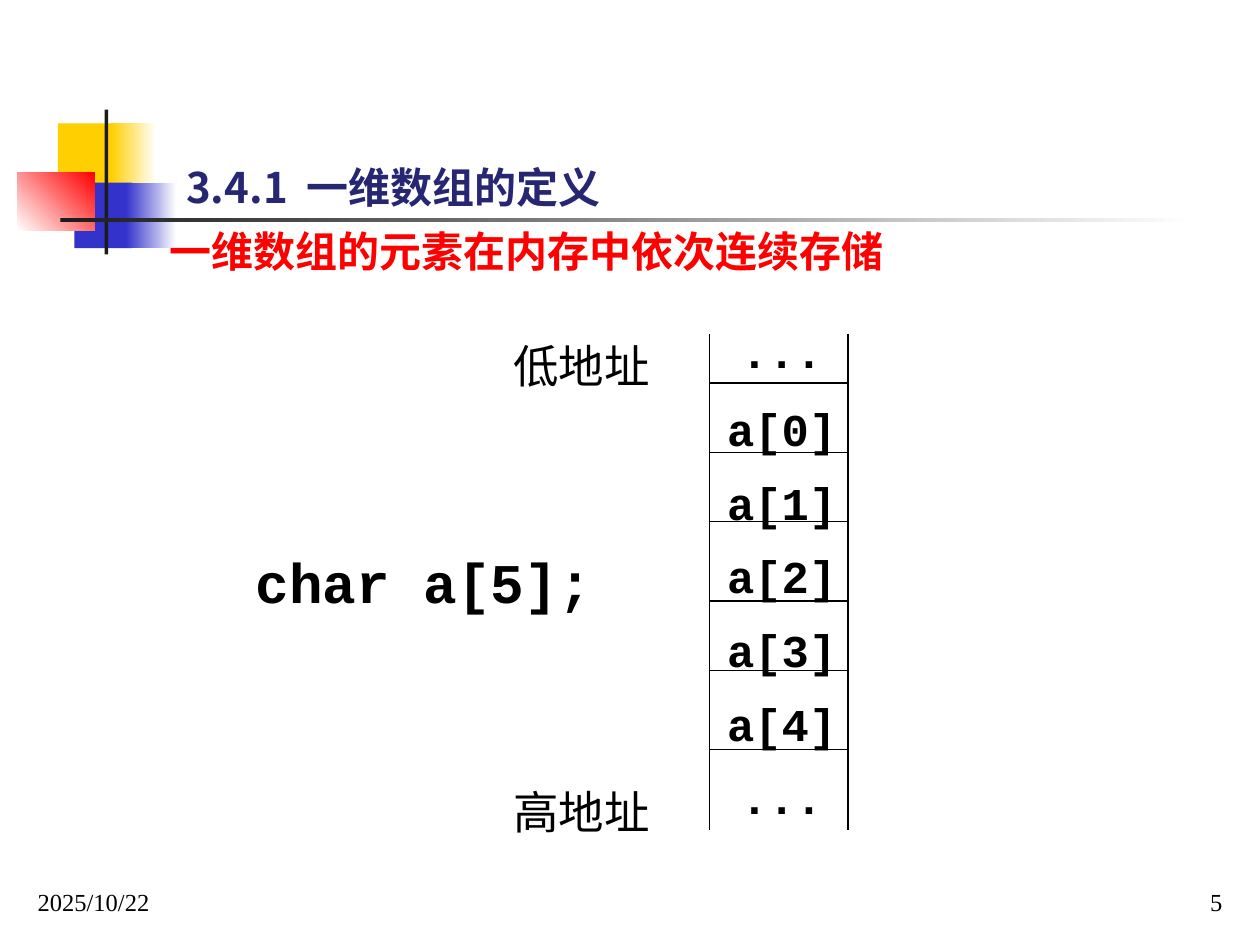
from dataclasses import dataclass, field
from typing import Optional

from lxml import etree
from pptx import Presentation
from pptx import util as u
from pptx.dml.color import RGBColor
from pptx.enum import shapes, text
from pptx.oxml.ns import qn

WHITE = RGBColor(0xFF, 0xFF, 0xFF)
BLACK = RGBColor(0, 0, 0)
YELLOW = RGBColor(0xFF, 0xCF, 0x01)
BLUE = RGBColor(0x33, 0x33, 0xCC)
RED = RGBColor(0xFF, 0, 0)
CHARCOAL = RGBColor(0x1C, 0x1C, 0x1C)
NAVY = RGBColor(0x26, 0x26, 0x73)

SANS, SERIF = "Noto Sans CJK SC", "Times New Roman"
MONO, LABEL = "Courier New", "Arial"
LEFT, CENTER, RIGHT = text.PP_ALIGN.LEFT, text.PP_ALIGN.CENTER, text.PP_ALIGN.RIGHT

SLIDE_WIDTH, SLIDE_HEIGHT = 10, 7.5
Box = tuple[float, float, float, float]


@dataclass
class Block:
    box: Box
    color: RGBColor
    fade_to: Optional[RGBColor] = None
    angle: float = 0


@dataclass
class Style:
    name: str
    size: float
    color: RGBColor = BLACK
    bold: bool = False


@dataclass
class Label:
    box: Box
    words: str
    style: Style
    align: text.PP_ALIGN = LEFT
    frame: dict = field(default_factory=dict)
    margin: float = 0
    indent: float = 0


ACCENTS = [
    Block((0.46, 0.98, 0.48, 0.52), YELLOW),
    Block((0.88, 0.98, 0.36, 0.52), YELLOW, WHITE),
    Block((0.59, 1.45, 0.46, 0.52), BLUE),
    Block((1, 1.45, 0.4, 0.52), BLUE, WHITE),
    Block((0.14, 1.37, 0.61, 0.46), WHITE, RED, 45),
    Block((0.83, 0.87, 0.03, 1.15), CHARCOAL),
    Block((0.48, 1.73, 9, 0.03), CHARCOAL, WHITE),
]

BOTTOM = {"vertical_anchor": text.MSO_ANCHOR.BOTTOM}
FOOTER = Style(SERIF, 14)
FOOTER_TOP, FOOTER_WIDTH, FOOTER_HEIGHT, FOOTER_EDGE = 6.82, 1.26, 0.5, 0.2
LABELS = [
    Label((1.25, 1.74, 8.5, 4.81), "一维数组的元素在内存中依次连续存储",
          Style(SANS, 24, RED, True), margin=0.38, indent=-0.38),
    Label((1.93, 4.3, 2.88, 0.63), "char a[5];", Style(MONO, 32, bold=True),
          frame={"word_wrap": False}),
    Label((FOOTER_EDGE, FOOTER_TOP, FOOTER_WIDTH, FOOTER_HEIGHT),
          "2025/10/22", FOOTER, frame=BOTTOM),
    Label((SLIDE_WIDTH - FOOTER_EDGE - FOOTER_WIDTH, FOOTER_TOP, FOOTER_WIDTH, FOOTER_HEIGHT),
          "5", FOOTER, RIGHT, BOTTOM),
    Label((0.75, 1.23, 4.47, 0.5), "3.4.1  一维数组的定义",
          Style(SANS, 24, NAVY, True), indent=0.63),
]

ADDRESSES = {0: "低地址", 6: "高地址"}
ELEMENTS = ["...", *(f"a[{index}]" for index in range(5)), "..."]
TABLE_BOX = (3.82, 2.57, 3.18, 4.09)
MEMORY_LEFT, MEMORY_RIGHT, MEMORY_TOP, MEMORY_BOTTOM = 5.63, 6.73, 2.65, 6.59
CELL_EDGES = [3.04, 3.59, 4.14, 4.77, 5.32, 5.95]


def inches(lengths) -> list:
    return [u.Inches(length) for length in lengths]


def set_values(target, values: dict) -> None:
    for name, value in values.items():
        setattr(target, name, value)


def write(paragraph, words: str, style: Style, align: text.PP_ALIGN) -> None:
    paragraph.alignment = align
    run = paragraph.add_run()
    run.text = words
    set_values(run.font, {"name": style.name, "size": u.Pt(style.size), "bold": style.bold})
    run.font.color.rgb = style.color
    if style.name == SANS:
        east_asian = etree.SubElement(run.font._element, qn("a:ea"))
        east_asian.set("typeface", SANS)


def draw_block(slide, block: Block) -> None:
    shape = slide.shapes.add_shape(shapes.MSO_SHAPE.RECTANGLE, *inches(block.box))
    shape.shadow.inherit = False
    shape.line.fill.background()
    if block.fade_to is None:
        shape.fill.solid()
        shape.fill.fore_color.rgb = block.color
        return
    shape.fill.gradient()
    shape.fill.gradient_angle = block.angle
    for stop, color in zip(shape.fill.gradient_stops, (block.color, block.fade_to)):
        stop.color.rgb = color


def draw_label(slide, label: Label) -> None:
    frame = slide.shapes.add_textbox(*inches(label.box)).text_frame
    set_values(frame, {"word_wrap": True, **label.frame})
    paragraph = frame.paragraphs[0]
    properties = paragraph._p.get_or_add_pPr()
    properties.set("marL", str(u.Inches(label.margin)))
    properties.set("indent", str(u.Inches(label.indent)))
    write(paragraph, label.words, label.style, label.align)


def set_borders(cell, sides: list[str]) -> None:
    """Put white 3 pt borders before the cell's fill, as the schema orders them."""
    properties = cell._tc.get_or_add_tcPr()
    for position, side in enumerate(sides):
        border = etree.Element(qn(f"a:ln{side}"), w=str(u.Pt(3)))
        fill = etree.SubElement(border, qn("a:solidFill"))
        etree.SubElement(fill, qn("a:srgbClr"), val=str(WHITE))
        properties.insert(position, border)


def draw_memory_table(slide) -> None:
    row_count = len(ELEMENTS)
    table = slide.shapes.add_table(row_count, 2, *inches(TABLE_BOX)).table
    set_values(table, {"first_row": False, "horz_banding": False})
    for cell in table.iter_cells():
        cell.fill.background()
    for row, element in enumerate(ELEMENTS):
        address_cell, element_cell = table.cell(row, 0), table.cell(row, 1)
        if row in ADDRESSES:
            write(address_cell.text_frame.paragraphs[0], ADDRESSES[row],
                  Style(LABEL, 26), CENTER)
        write(element_cell.text_frame.paragraphs[0], element,
              Style(MONO, 26, bold=True), CENTER)
        top = ["T"] if row > 0 else []
        bottom = ["B"] if row < row_count - 1 else []
        set_borders(element_cell, ["L", "R", *top, *bottom])
        set_borders(address_cell, ["R"])


def draw_line(slide, start: tuple[float, float], end: tuple[float, float]) -> None:
    connector = slide.shapes.add_connector(
        shapes.MSO_CONNECTOR.STRAIGHT, *inches(start + end))
    connector.line.width = u.Pt(0.75)
    connector.line.color.rgb = BLACK
    etree.SubElement(connector._element.spPr, qn("a:effectLst"))


def main() -> None:
    presentation = Presentation()
    set_values(presentation, {"slide_width": u.Inches(SLIDE_WIDTH),
                              "slide_height": u.Inches(SLIDE_HEIGHT)})
    slide = presentation.slides.add_slide(presentation.slide_layouts[6])
    for block in ACCENTS:
        draw_block(slide, block)
    draw_memory_table(slide)
    for x in (MEMORY_LEFT, MEMORY_RIGHT):
        draw_line(slide, (x, MEMORY_TOP), (x, MEMORY_BOTTOM))
    for y in CELL_EDGES:
        draw_line(slide, (MEMORY_LEFT, y), (MEMORY_RIGHT, y))
    for label in LABELS:
        draw_label(slide, label)
    presentation.save("out.pptx")


if __name__ == "__main__":
    main()
